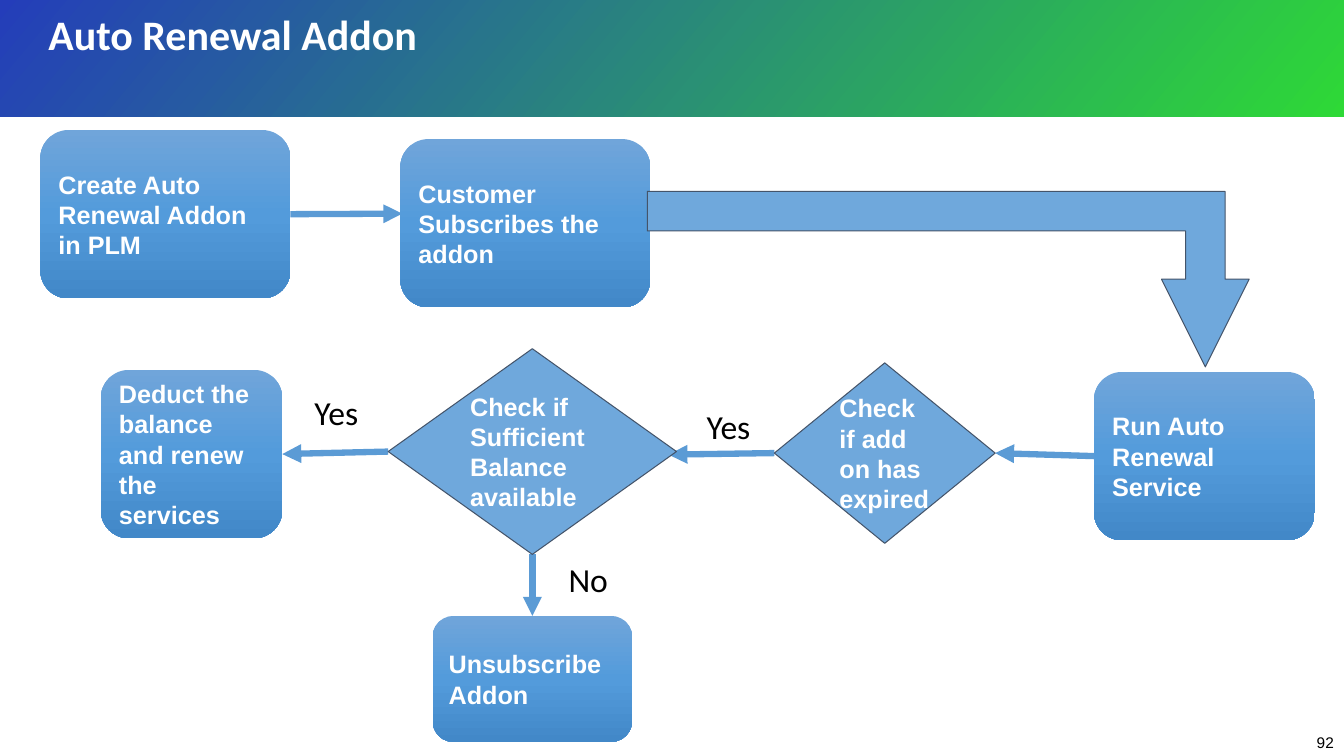
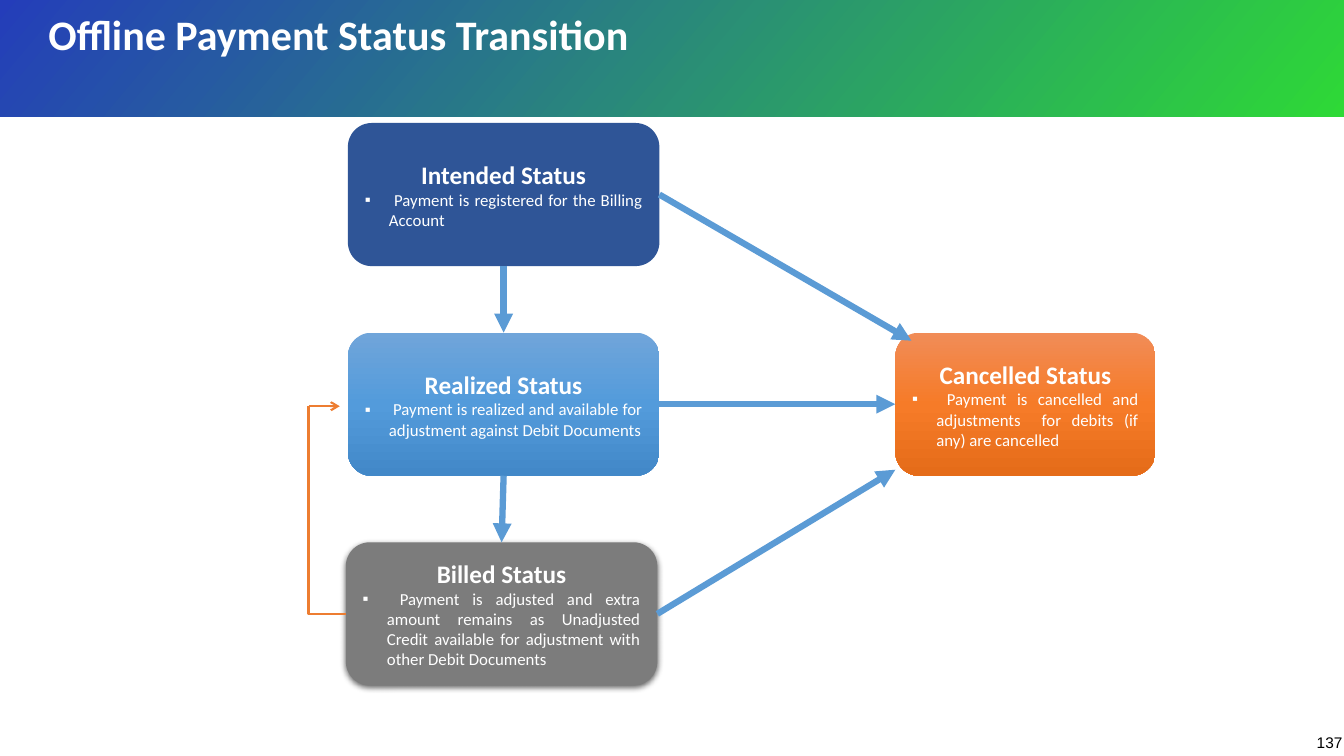
"""Build two process slides: auto renewal flow and offline payment statuses."""
from lxml.etree import SubElement
from pptx import Presentation
from pptx.dml.color import RGBColor
from pptx.enum.shapes import MSO_CONNECTOR as LINK, MSO_SHAPE as SHAPE
from pptx.enum.text import MSO_ANCHOR as ANCHOR, MSO_AUTO_SIZE as AUTOSIZE, PP_ALIGN as ALIGN
from pptx.oxml.ns import qn
from pptx.util import Inches, Pt

rgb = RGBColor.from_string
BLUE_FADE = ("70A5DA", "539BDB", "4288C8")
ORANGE_FADE = ("F18C57", "F67B28", "E56C19")
BAND_FADE = ("0D29B3", "18D521")
STEP_BLUE, OUTLINE = "6FA8DC", "44546A"
ARROW_BLUE, RETURN_ORANGE = "5B9BD5", "ED7D31"
WHITE, BLACK = "FFFFFF", "000000"
PROCESS = SHAPE.FLOWCHART_ALTERNATE_PROCESS
TOP, LEFT, BOTTOM, RIGHT = range(4)

TITLE_FONT = {"name": "Calibri", "size": Pt(30), "bold": True}
STEP_FONT = {"name": "Arial", "size": Pt(18), "bold": True}
ANSWER_FONT = {"name": "Calibri", "size": Pt(24), "bold": False}
STATUS_FONT = {"name": "Calibri", "size": Pt(18), "bold": True}
DETAIL_FONT = {"name": "Calibri", "size": Pt(12), "bold": False}
NUMBER_FONT = {"name": "Arial", "size": Pt(11), "bold": False}


def add_block(slide, preset, at, fill, paragraphs=(), outline=None, angle=90, opacity=100):
    """Add a filled shape with (text, font values, colour, alignment) paragraphs."""
    block = slide.shapes.add_shape(preset, *map(Inches, at)) if preset else slide.shapes.add_textbox(*map(Inches, at))
    if preset:
        block.shadow.inherit = False
    if isinstance(fill, tuple):
        block.fill.gradient()
        block.fill.gradient_angle = 360 - angle
        stops = block.element.spPr.find(qn("a:gradFill")).find(qn("a:gsLst"))
        stops[:] = []
        for index, colour in enumerate(fill):
            stop = SubElement(stops, qn("a:gs"), pos=str(100000 * index // (len(fill) - 1)))
            tint = SubElement(stop, qn("a:srgbClr"), val=colour)
            SubElement(tint, qn("a:alpha"), val=str(opacity * 1000))
    elif fill:
        block.fill.solid()
        block.fill.fore_color.rgb = rgb(fill)
    if outline:
        block.line.color.rgb = rgb(outline)
        block.line.width = Pt(0.75)
    else:
        block.line.fill.background()
    frame = block.text_frame
    frame.word_wrap = True
    frame.vertical_anchor = ANCHOR.MIDDLE if preset else ANCHOR.TOP
    for index, (text, font, colour, alignment) in enumerate(paragraphs):
        paragraph = frame.add_paragraph() if index else frame.paragraphs[0]
        paragraph.text = text
        paragraph.alignment = alignment
        if alignment == ALIGN.JUSTIFY:
            props = paragraph._p.get_or_add_pPr()
            props.set("marL", str(Inches(0.24)))
            props.set("indent", str(-Inches(0.24)))
            SubElement(props, qn("a:buFont"), typeface="Arial")
            SubElement(props, qn("a:buChar"), char="▪")
        for key, value in font.items():
            setattr(paragraph.font, key, value)
        paragraph.font.color.rgb = rgb(colour)
    return block


def add_link(slide, start, end, colour=ARROW_BLUE, width=4.5, head="triangle", kind=LINK.STRAIGHT):
    """Draw a line between points or (shape, side) pairs."""
    points = [(0, 0) if hasattr(place[0], "shape_id") else place for place in (start, end)]
    link = slide.shapes.add_connector(kind, *(Inches(value) for point in points for value in point))
    for place, join in ((start, link.begin_connect), (end, link.end_connect)):
        if hasattr(place[0], "shape_id"):
            join(*place)
    link.line.color.rgb = rgb(colour)
    link.line.width = Pt(width)
    if head:
        SubElement(link.line._get_or_add_ln(), qn("a:tailEnd"), type=head)
    SubElement(link.element.spPr, qn("a:effectLst"))
    return link


prs = Presentation()
prs.slide_width, prs.slide_height = Inches(13.33), Inches(7.5)
layout = prs.slide_layouts[5]
for unused in list(layout.placeholders)[1:]:
    layout.shapes.element.remove(unused.element)

slides = []
for heading, number in (("Auto Renewal Addon", "92"), ("Offline Payment Status Transition", "137")):
    slide = prs.slides.add_slide(layout)
    title = slide.shapes.title
    place = {"left": 0.38, "top": 0.09, "width": 10.19, "height": 0.85}
    for key, value in place.items():
        setattr(title, key, Inches(value))
    title.text_frame.text = heading
    title.text_frame.auto_size = AUTOSIZE.NONE
    title.text_frame.vertical_anchor = ANCHOR.TOP
    line = title.text_frame.paragraphs[0]
    line.alignment, line.line_spacing = ALIGN.LEFT, 0.9
    for key, value in TITLE_FONT.items():
        setattr(line.font, key, value)
    line.font.color.rgb = rgb(WHITE)
    slides.append(slide)
    if len(slides) == 1:
        band = add_block(slide, SHAPE.RECTANGLE, (0, 0, 13.33, 1.16), BAND_FADE, angle=40, opacity=89)
        layout.shapes.element.insert(2, band.element)
    page = add_block(slide, None, (12.83, 7.22, 0.5, 0.28), None, [(number, NUMBER_FONT, BLACK, ALIGN.LEFT)])
    page.text_frame.margin_left, page.text_frame.margin_right = Inches(0.23), 0
renewal, payment = slides

steps = {}
for key, text, preset, at in (
    ("create", "Create Auto Renewal Addon in PLM", PROCESS, (0.4, 1.29, 2.48, 1.67)),
    ("subscribe", "Customer Subscribes the addon", PROCESS, (3.97, 1.38, 2.48, 1.67)),
    ("run", "Run Auto Renewal Service", PROCESS, (10.85, 3.69, 2.19, 1.67)),
    ("expired", "Check if add on has expired", SHAPE.DIAMOND, (7.68, 3.6, 2.19, 1.79)),
    ("balance", "Check if Sufficient Balance available", SHAPE.DIAMOND, (3.85, 3.46, 2.86, 2.04)),
    ("unsubscribe", "Unsubscribe Addon", PROCESS, (4.29, 6.11, 1.98, 1.25)),
    ("deduct", "Deduct the balance and renew the services", PROCESS, (1, 3.67, 1.8, 1.67)),
):
    decision = preset == SHAPE.DIAMOND
    steps[key] = add_block(renewal, preset, at, STEP_BLUE if decision else BLUE_FADE,
                           [(text, STEP_FONT, WHITE, ALIGN.LEFT)], OUTLINE if decision else None)
    if decision:
        steps[key].text_frame.margin_top = steps[key].text_frame.margin_bottom = Inches(0.1)

for start, end in (
    ((steps["create"], RIGHT), (3.99, 2.12)),
    ((steps["run"], LEFT), (steps["expired"], RIGHT)),
    ((steps["expired"], LEFT), (6.63, 4.51)),
    ((steps["balance"], LEFT), (steps["deduct"], RIGHT)),
    ((steps["balance"], BOTTOM), (steps["unsubscribe"], TOP)),
):
    renewal.shapes.element.insert(2, add_link(renewal, start, end).element)

for answer, at in (("Yes", (6.91, 3.93, 0.77, 0.45)), ("No", (5.54, 5.44, 0.62, 0.45)),
                   ("Yes", (3.02, 3.79, 0.77, 0.45))):
    label = add_block(renewal, None, at, None, [(answer, ANSWER_FONT, BLACK, ALIGN.LEFT)])
    label.text_frame.margin_top = label.text_frame.margin_bottom = Inches(0.1)

turn = add_block(renewal, SHAPE.BENT_UP_ARROW, (6.42, 1.9, 5.97, 1.74), STEP_BLUE, outline=OUTLINE)
for index, value in enumerate((0.225, 0.25, 0.5)):
    turn.adjustments[index] = value
turn.element.spPr.xfrm.set("flipV", "1")

statuses = {}
for status, detail, fill, left, top, width in (
    ("Intended", " Payment is registered for the Billing Account", "2F5597", 3.45, 1.22, 3.09),
    ("Realized", " Payment is realized and available for adjustment against Debit Documents",
     BLUE_FADE, 3.45, 3.3, 3.09),
    ("Billed", " Payment is adjusted and extra amount remains as Unadjusted Credit available "
     "for adjustment with other Debit Documents", "7C7C7C", 3.43, 5.38, 3.09),
    ("Cancelled", " Payment is cancelled and adjustments  for debits (if any) are cancelled",
     ORANGE_FADE, 8.88, 3.3, 2.58),
):
    statuses[status] = add_block(payment, PROCESS, (left, top, width, 1.42), fill, [
        (f"{status} Status", STATUS_FONT, WHITE, ALIGN.CENTER),
        (detail, DETAIL_FONT, WHITE, ALIGN.JUSTIFY)])

effects = statuses["Billed"].element.spPr.find(qn("a:effectLst"))
shade = SubElement(effects, qn("a:outerShdw"), blurRad=str(Pt(4.5)), dist=str(Pt(1.5)), dir="5400000", rotWithShape="0")
SubElement(SubElement(shade, qn("a:srgbClr"), val=BLACK), qn("a:alpha"), val="63000")

for start, end in (
    ((statuses["Intended"], RIGHT), (9.04, 3.38)),
    ((statuses["Realized"], RIGHT), (statuses["Cancelled"], LEFT)),
    ((statuses["Billed"], RIGHT), (8.88, 4.66)),
    ((statuses["Intended"], BOTTOM), (statuses["Realized"], TOP)),
    ((statuses["Realized"], BOTTOM), (statuses["Billed"], TOP)),
):
    add_link(payment, start, end)

way_back = add_link(payment, (3.06, 4.03), (3.43, 6.09), RETURN_ORANGE, 1.5, None, LINK.ELBOW)
way_back.element.spPr.prstGeom.set("prst", "bentConnector2")
way_back.element.spPr.xfrm.set("rot", "10800000")
add_link(payment, (3.06, 4.03), (3.37, 4.03), RETURN_ORANGE, 1.5, "arrow")

prs.save("out.pptx")
